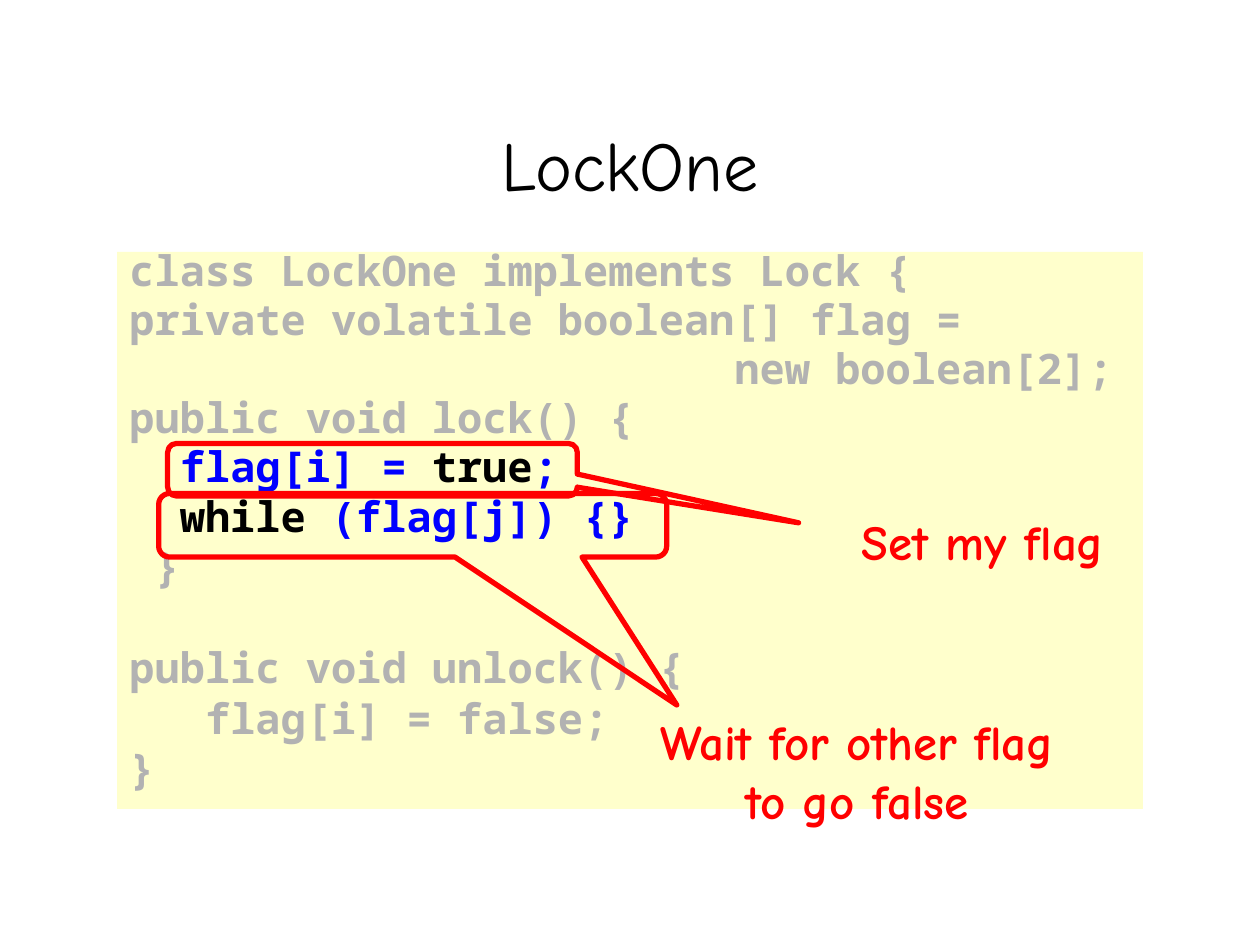
import pptx
import pptx.util
import pptx.dml.color
import pptx.enum.shapes
import pptx.enum.text

CODE_FONT, NOTE_FONT = "Noto Sans Mono", "Comic Neue"
GREY, BLUE, BLACK, RED, CREAM = "B2B2B2", "0000FF", "000000", "FF0000", "FFFFCC"
CODE_SIZE, NOTE_SIZE, TITLE_SIZE = 24, 28, 40

DECLARATION_LINES = 4
CODE_LINES = [
    [("class LockOne implements Lock {", GREY)],
    [("private volatile boolean[] flag =", GREY)],
    [("                        new boolean[2];", GREY)],
    [("public void lock() {", GREY)],
    [("  flag[i] = ", BLUE), ("true", BLACK), (";", BLUE)],
    [("  ", BLUE), ("while ", BLACK), ("(flag[j]) {}", BLUE)],
    [(" }", GREY)],
    [],
    [("public void unlock() {", GREY)],
    [("   flag[i] = false;", GREY)],
    [("}", GREY)],
]
TITLE_AREA = (1.9, 1.7, 21.6, 3.18)
CODE_AREA = (2.36, 5.08, 20.68, 11.23)
CALLOUTS = [
    ((3.2, 9.95, 10.24, 1.28), (0.52, 2.83, 0.17)),
    ((3.38, 8.94, 8.26, 1.06), (1.04, 1.01, 0.17)),
]
NOTES = [
    ("Wait for other flag to go false", (12.83, 14.22, 8.89, 2.62), True,
     pptx.enum.text.PP_ALIGN.CENTER),
    ("Set my flag", (16.28, 10.19, 6.22, 1.45), False,
     pptx.enum.text.PP_ALIGN.RIGHT),
]


def lengths(area):
    return [pptx.util.Cm(value) for value in area]


def color(value):
    return pptx.dml.color.RGBColor.from_string(value)


def format_span(span, font, size, value, bold):
    span.font.name = font
    span.font.size = pptx.util.Pt(size)
    span.font.color.rgb = color(value)
    span.font.bold = bold


def add_title(page):
    title = page.shapes.title
    title.left, title.top, title.width, title.height = lengths(TITLE_AREA)
    title.text_frame.text = "LockOne"
    title.text_frame.vertical_anchor = pptx.enum.text.MSO_ANCHOR.MIDDLE
    para = title.text_frame.paragraphs[0]
    para.alignment = pptx.enum.text.PP_ALIGN.CENTER
    format_span(para.runs[0], NOTE_FONT, TITLE_SIZE, BLACK, False)


def add_code(page):
    box = page.shapes.add_shape(
        pptx.enum.shapes.MSO_SHAPE.RECTANGLE, *lengths(CODE_AREA))
    box.shadow.inherit = False
    box.fill.solid()
    box.fill.fore_color.rgb = color(CREAM)
    box.line.fill.background()
    frame = box.text_frame
    frame.word_wrap = True
    frame.vertical_anchor = pptx.enum.text.MSO_ANCHOR.TOP
    for index, line in enumerate(CODE_LINES):
        para = frame.add_paragraph() if index else frame.paragraphs[0]
        para.alignment = pptx.enum.text.PP_ALIGN.LEFT
        tight = index < DECLARATION_LINES
        para.line_spacing = 0.7 if tight else 1.0
        para.space_before = pptx.util.Pt(7.8 if tight and index else 0)
        for text, value in line:
            span = para.add_run()
            span.text = text
            format_span(span, CODE_FONT, CODE_SIZE, value, True)
        if not line:
            ending = para._p.get_or_add_endParaRPr()
            ending.set("sz", str(CODE_SIZE * 100))
            ending.get_or_add_latin().set("typeface", CODE_FONT)


def add_callout(page, area, adjustments):
    callout = page.shapes.add_shape(
        pptx.enum.shapes.MSO_SHAPE.ROUNDED_RECTANGULAR_CALLOUT, *lengths(area))
    callout.shadow.inherit = False
    callout.fill.background()
    callout.line.color.rgb = color(RED)
    callout.line.width = pptx.util.Pt(3)
    for index, value in enumerate(adjustments):
        callout.adjustments[index] = value


def add_note(page, text, area, wrap, alignment):
    box = page.shapes.add_textbox(*lengths(area))
    box.text_frame.word_wrap = wrap
    box.text_frame.text = text
    para = box.text_frame.paragraphs[0]
    para.alignment = alignment
    format_span(para.runs[0], NOTE_FONT, NOTE_SIZE, RED, True)


def main():
    deck = pptx.Presentation()
    deck.slide_width, deck.slide_height = lengths((25.4, 19.05))
    page = deck.slides.add_slide(deck.slide_layouts.get_by_name("Title Only"))
    add_title(page)
    add_code(page)
    for callout in CALLOUTS:
        add_callout(page, *callout)
    for note in NOTES:
        add_note(page, *note)
    deck.save("out.pptx")


if __name__ == "__main__":
    main()
